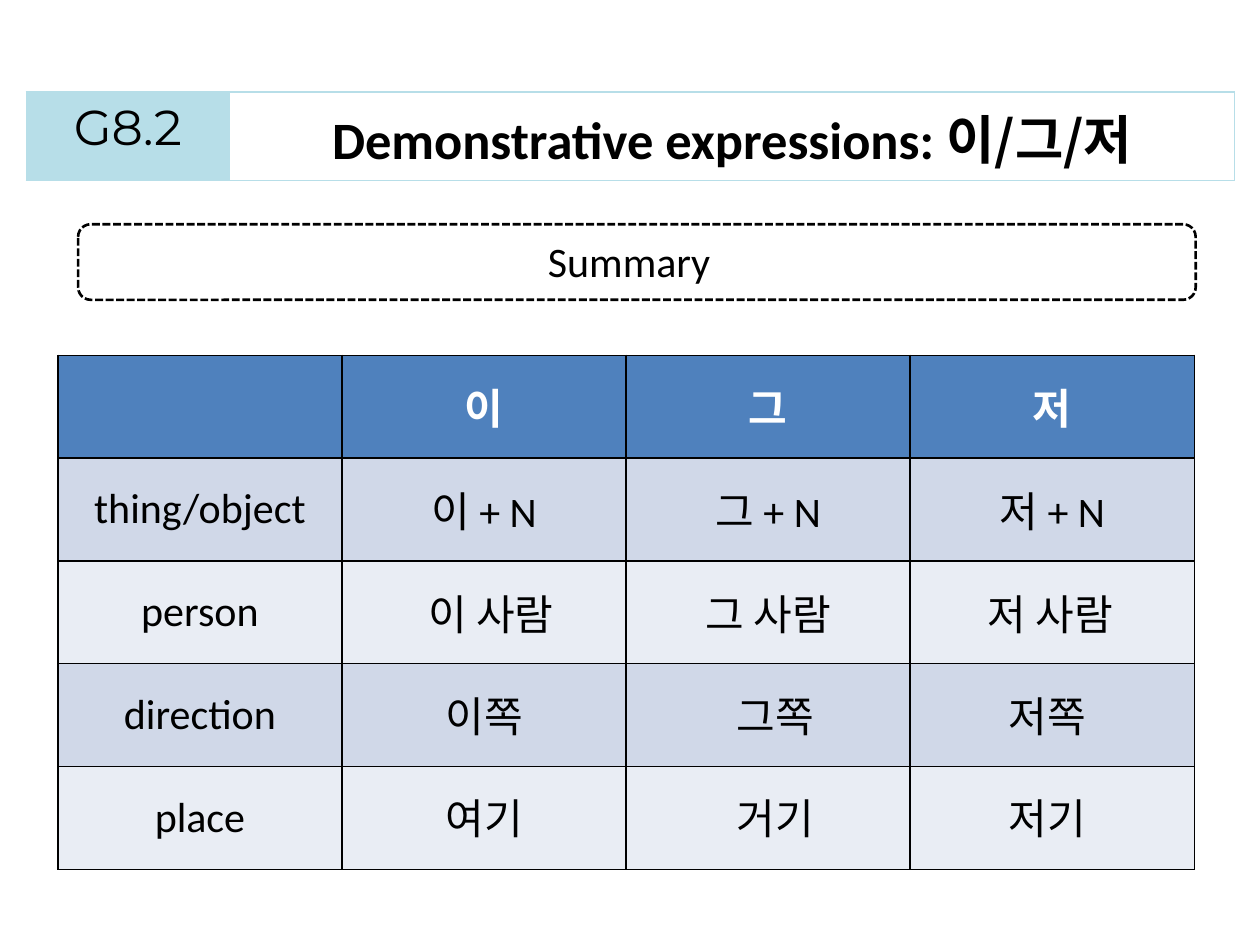
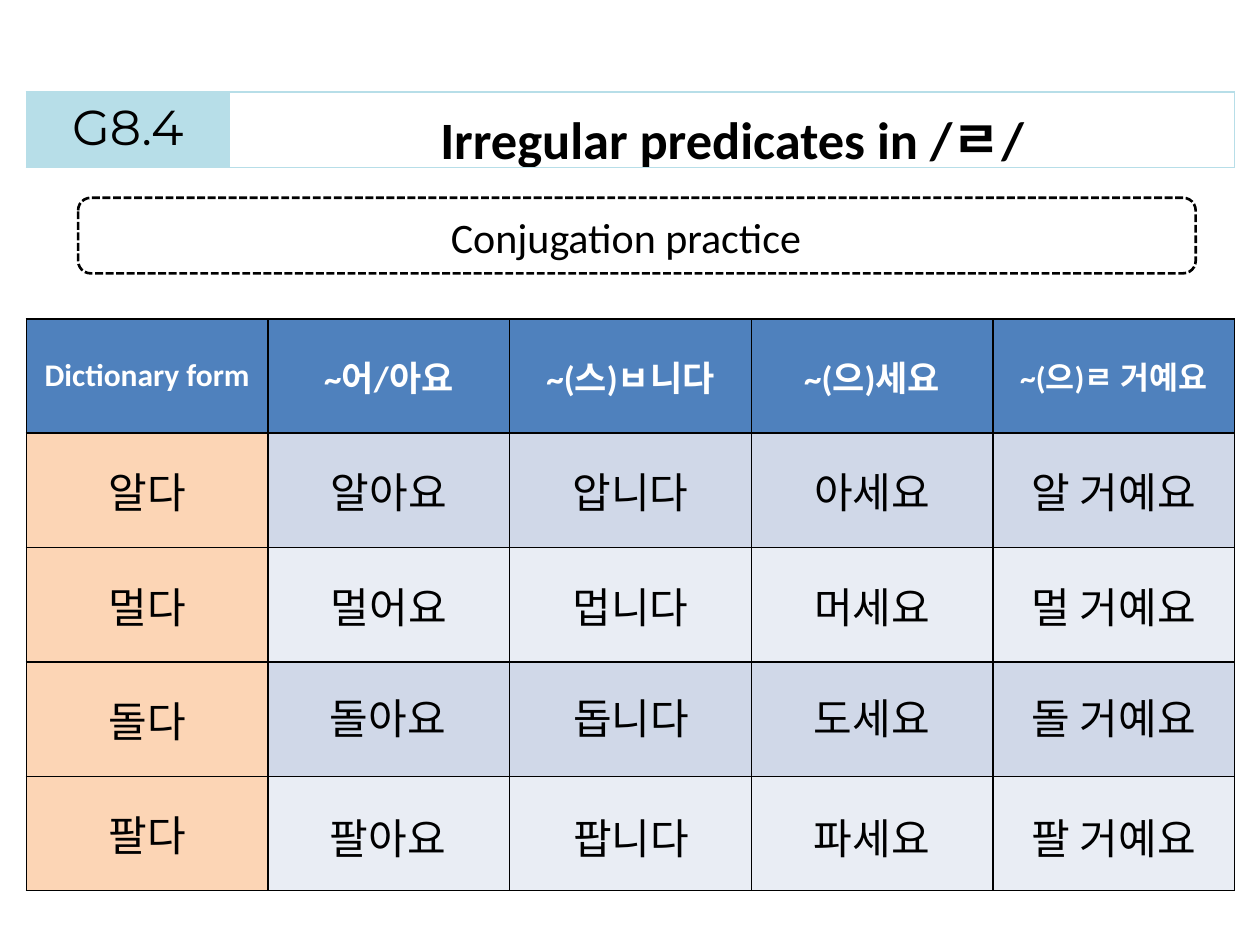
from dataclasses import dataclass

from pptx import Presentation, util as u
from pptx.dml.color import RGBColor
from pptx.enum import dml, shapes, text
from pptx.oxml import parse_xml
from pptx.oxml.ns import nsdecls

PX = 9144
MID = text.MSO_ANCHOR.MIDDLE
TOP = text.MSO_ANCHOR.TOP


@dataclass(frozen=True)
class Theme:
    black: str = "000000"
    white: str = "FFFFFF"
    aqua: str = "B7DEE8"
    blue: str = "4F81BD"
    peach: str = "FCD5B5"
    bands: tuple = ("D0D8E8", "E9EDF4")
    latin: str = "Calibri"
    tag: str = "Montserrat"
    hangul: str = "Noto Sans CJK KR"
    title: int = 30
    code: int = 28
    body: int = 24
    head: int = 20
    small: int = 18


T = Theme()
BAR = (21, 73, 959, 60)
BODY = dict(name=T.latin, size=T.body, color=T.black, bold=False)
KOREAN = {**BODY, "name": T.hangul}
HEAD = {**BODY, "color": T.white, "bold": True}
TITLE = {**BODY, "size": T.title, "bold": True}
CODE = {**BODY, "name": T.tag, "size": T.code}


def px(*nums):
    return [u.Emu(round(n * PX)) for n in nums]


def write(para, words, form):
    run = para.add_run()
    run.text = words
    vals = {**form, "size": u.Pt(form["size"])}
    run.font.color.rgb = RGBColor.from_string(vals.pop("color"))
    for key, val in vals.items():
        setattr(run.font, key, val)
    run.font._element.find("{*}latin").addnext(
        parse_xml(f'<a:ea {nsdecls("a")} typeface="{T.hangul}"/>'))


def edge(cell, color):
    props = cell._tc.get_or_add_tcPr()
    for i, side in enumerate("LRTB"):
        props.insert(i, parse_xml(
            f'<a:ln{side} {nsdecls("a")} w="{u.Pt(1)}"><a:solidFill>'
            f'<a:srgbClr val="{color}"/></a:solidFill></a:ln{side}>'))


def paint(cell, runs, fill, line, anchor):
    cell.vertical_anchor = anchor
    if fill:
        cell.fill.solid()
        cell.fill.fore_color.rgb = RGBColor.from_string(fill)
    else:
        cell.fill.background()
    edge(cell, line)
    para = cell.text_frame.paragraphs[0]
    para.alignment = text.PP_ALIGN.CENTER
    for words, form in runs:
        write(para, words, form)


def table(slide, box, cols, rows, cells, line, anchor=MID):
    grid = slide.shapes.add_table(len(rows), len(cols), *px(*box)).table
    grid.first_row = grid.horz_banding = False
    for col, wide in zip(grid.columns, px(*cols)):
        col.width = wide
    for row, high in zip(grid.rows, px(*rows)):
        row.height = high
    for r, row in enumerate(cells):
        for c, (runs, fill) in enumerate(row):
            paint(grid.cell(r, c), runs, fill, line, anchor)


def title(slide, box, code, runs):
    cells = [[([(code, CODE)], T.aqua), (runs, None)]]
    table(slide, box, (161, box[2] - 161), [55], cells, T.aqua, TOP)


def label(slide, box, words, form):
    area = slide.shapes.add_textbox(*px(*box))
    frame = area.text_frame
    frame.word_wrap = False
    frame.auto_size = text.MSO_AUTO_SIZE.SHAPE_TO_FIT_TEXT
    write(frame.paragraphs[0], words, form)


def banner(slide, box, words, left, drop, wide):
    x, y, w, h = box
    rim = slide.shapes.add_shape(
        shapes.MSO_SHAPE.ROUNDED_RECTANGLE, *px(*box))
    rim.shadow.inherit = False
    rim.fill.background()
    rim.line.color.rgb = RGBColor.from_string(T.black)
    rim.line.width = u.Pt(1.5)
    rim.line.dash_style = dml.MSO_LINE.SQUARE_DOT
    label(slide, (x + left, y + drop, wide, 50), words, BODY)


def chart(slide, box, head, body, side=None):
    w, h = box[2:]
    count, deep = len(head), len(body) + 1
    cells = [[([run], T.blue) for run in head]]
    for i, row in enumerate(body):
        band = T.bands[i % 2]
        line = [([run] if run else [], band) for run in row]
        line += [([], band)] * (count - len(row))
        if side:
            line[0] = (line[0][0], side)
        cells.append(line)
    table(slide, box, [w / count] * count, [h / deep] * deep, cells, T.black)


def answers(slide, box, drop, spots, words):
    x, y = box[:2]
    for (left, wide), word in zip(spots, words):
        label(slide, (x + left, y + drop, wide, 50), word, KOREAN)


def pointing(slide):
    title(slide, BAR, "G8.2", [
        ("Demonstrative expressions: ", TITLE),
        ("이/그/저", {**TITLE, "name": T.hangul})])
    banner(slide, (62, 178, 887, 60), "Summary", 363, 4, 151)
    box = (46, 282, 902, 408)
    words = "이그저"
    head = [("", HEAD)] + [(w, HEAD) for w in words]
    body = [[("thing/object", BODY)] + [(f"{w} + N", BODY) for w in words]]
    body += [[(w, BODY)] for w in ("person", "direction", "place")]
    chart(slide, box, head, body)
    answers(slide, box, 180, [(284, 125), (504, 125), (728, 125)],
            [f"{w} 사람" for w in words])
    spots = [(298, 83), (529, 83), (745, 83)]
    answers(slide, box, 261, spots, [f"{w}쪽" for w in words])
    answers(slide, box, 342, spots, ["여기", "거기", "저기"])


def verbs(slide):
    title(slide, BAR, "G8.4", [("Irregular predicates in /ㄹ/", TITLE)])
    banner(slide, (62, 157, 887, 60), "Conjugation practice", 286, 6, 303)
    box = (21, 253, 959, 454)
    heads = [("Dictionary form", T.small), ("~어/아요", T.head),
             ("~(스)ㅂ니다", T.head), ("~(으)세요", T.head),
             ("~(으)ㄹ 거예요", T.small)]
    rows = [["알다", "알아요", "압니다", "아세요", "알 거예요"],
            ["멀다", "멀어요", "멉니다", "머세요", "멀 거예요"],
            ["돌다"], ["팔다"]]
    chart(slide, box, [(w, {**HEAD, "size": s}) for w, s in heads],
          [[(w, KOREAN) for w in row] for row in rows], T.peach)
    spots = [(231, 115), (424, 116), (615, 115), (788, 156)]
    answers(slide, box, 292, spots, ["돌아요", "돕니다", "도세요", "돌 거예요"])
    answers(slide, box, 387, spots, ["팔아요", "팝니다", "파세요", "팔 거예요"])


def main():
    deck = Presentation()
    deck.slide_width, deck.slide_height = px(1000, 750)
    for build in (pointing, verbs):
        build(deck.slides.add_slide(deck.slide_layouts[6]))
    deck.save("out.pptx")


if __name__ == "__main__":
    main()
